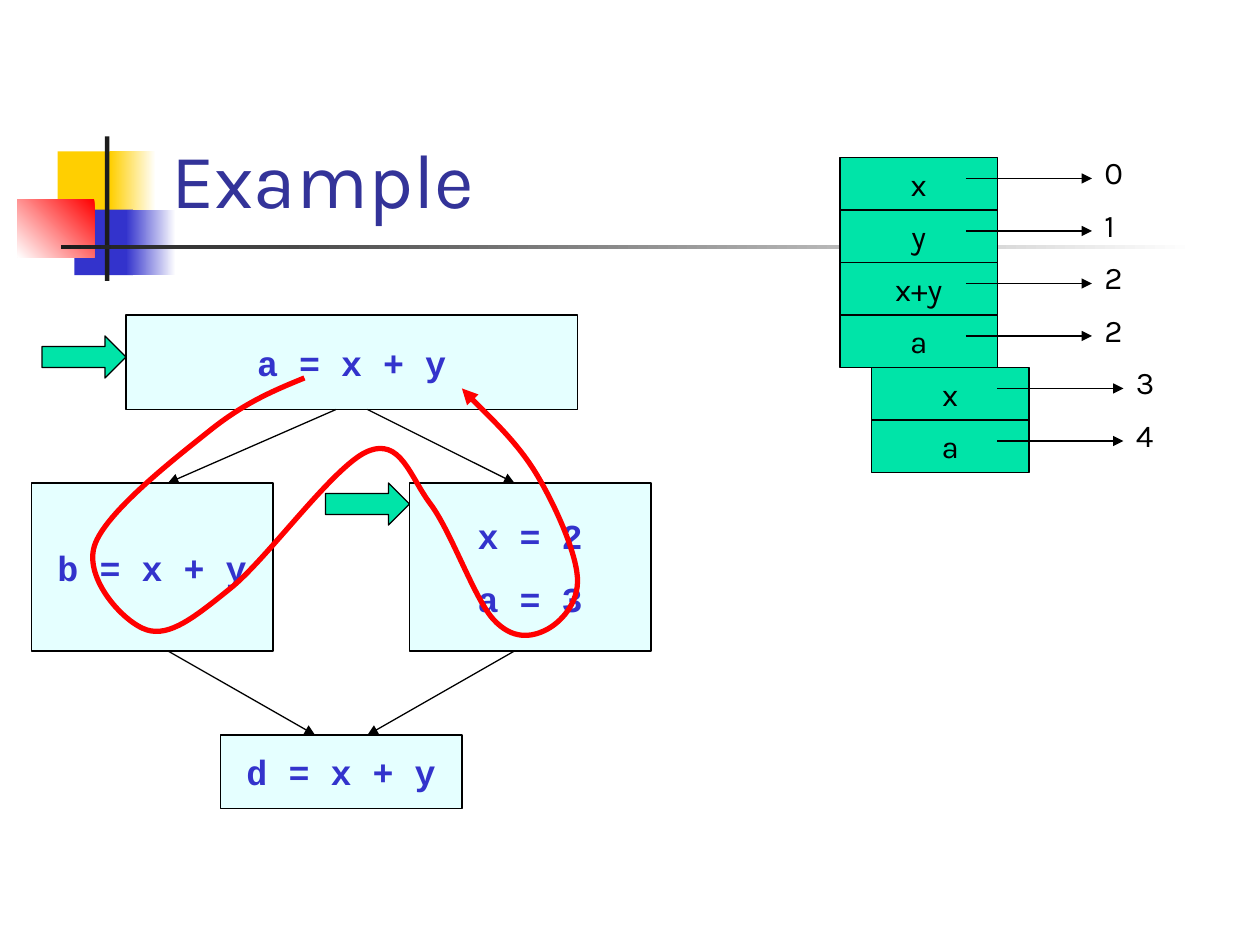
from dataclasses import dataclass
from itertools import islice
from lxml.etree import SubElement
from pptx import Presentation
from pptx.dml.color import RGBColor
from pptx.enum.shapes import MSO_CONNECTOR, MSO_SHAPE
from pptx.enum.text import MSO_ANCHOR, MSO_AUTO_SIZE, PP_ALIGN
from pptx.oxml.ns import qn
from pptx.util import Pt

COLORS = {
    "white": "FFFFFF", "black": "000000", "ink": "1C1C1C", "yellow": "FFCF01",
    "blue": "3333CC", "title": "333399", "red": "FF0000", "block": "CCFFFF",
    "green": "00E4A8",
}


@dataclass(frozen=True)
class Frame:
    left: float
    top: float
    width: float
    height: float

    def lengths(self) -> tuple:
        return Pt(self.left), Pt(self.top), Pt(self.width), Pt(self.height)


@dataclass(frozen=True)
class TextStyle:
    font: str
    size: float
    color: str
    bold: bool = False
    space_before: float = 0
    alignment: PP_ALIGN = PP_ALIGN.CENTER


@dataclass(frozen=True)
class Decoration:
    frame: Frame
    colors: tuple[str, ...]
    angle: float = 180


@dataclass(frozen=True)
class Block:
    frame: Frame
    lines: tuple[str, ...]


@dataclass(frozen=True)
class StackEntry:
    name: str
    value: str
    indent: float = 0


CODE = TextStyle("Courier New", 20, "blue", True, 12.5)
CELL = TextStyle("Karla", 18, "black")
VALUE = TextStyle("Karla", 18, "black", False, 11.2, PP_ALIGN.LEFT)
TITLE = TextStyle("Karla", 44, "title", alignment=PP_ALIGN.LEFT)

DECORATIONS = [
    Decoration(Frame(33, 86.5, 34.5, 37.5), ("yellow",)),
    Decoration(Frame(63, 86.5, 26, 37.5), ("white", "yellow")),
    Decoration(Frame(42.5, 119.75, 33.5, 37.5), ("blue",)),
    Decoration(Frame(72, 119.75, 28.5, 37.5), ("white", "blue")),
    Decoration(Frame(10, 113.75, 44, 33.25), ("red", "white"), 225),
    Decoration(Frame(60, 78, 2.5, 82.5), ("ink",)),
    Decoration(Frame(34.75, 140, 648, 2.5), ("white", "ink")),
]
BLOCKS = [
    Block(Frame(72, 180, 258, 54), ("a = x + y",)),
    Block(Frame(18, 276, 138, 96), ("b = x + y",)),
    Block(Frame(234, 276, 138, 96), ("x = 2", "a = 3")),
    Block(Frame(126, 420, 138, 42), ("d = x + y",)),
]
FLOW_EDGES = [
    (192, 234, 96, 276), (210, 234, 294, 276),
    (96, 372, 180, 420), (294, 372, 210, 420),
]
POINTERS = [Frame(24, 192, 48, 24), Frame(186, 276, 48, 24)]
STACK = [
    StackEntry("x", "0"), StackEntry("y", "1"), StackEntry("x+y", "2"),
    StackEntry("a", "2"), StackEntry("x", "3", 18), StackEntry("a", "4", 18),
]
STACK_LEFT, STACK_TOP, CELL_WIDTH, CELL_HEIGHT = 480, 90, 90, 30
TRACE = [
    (174, 216),
    (157, 223), (140, 230), (120, 246), (100, 262), (60, 293), (54, 312),
    (48, 331), (71, 356), (84, 360), (97, 364), (111, 353), (132, 336),
    (153, 319), (191, 266), (210, 258), (229, 250), (234, 272), (246, 288),
    (258, 304), (271, 342), (282, 354), (293, 366), (304, 364), (312, 360),
    (320, 356), (331, 345), (330, 330), (329, 315), (317, 288), (306, 270),
    (295, 252), (271, 230), (264, 222),
]


def color(name: str) -> RGBColor:
    return RGBColor.from_string(COLORS[name])


def set_line(shape, name: str, width: float, arrow: bool = False) -> None:
    shape.line.color.rgb = color(name)
    shape.line.width = Pt(width)
    if arrow:
        SubElement(shape.line._get_or_add_ln(), qn("a:tailEnd"), type="triangle")


def write(shape, lines: tuple[str, ...], style: TextStyle,
          anchor: MSO_ANCHOR, wrap: bool) -> None:
    text_frame = shape.text_frame
    text_frame.word_wrap = wrap
    text_frame.vertical_anchor = anchor
    text_frame.text = "\n".join(lines)
    for paragraph in text_frame.paragraphs:
        paragraph.alignment = style.alignment
        paragraph.space_before = Pt(style.space_before)
        paragraph.font.name = style.font
        paragraph.font.size = Pt(style.size)
        paragraph.font.bold = style.bold
        paragraph.font.color.rgb = color(style.color)


def add_filled(slide, frame: Frame, fill: str, kind=MSO_SHAPE.RECTANGLE):
    shape = slide.shapes.add_shape(kind, *frame.lengths())
    shape.shadow.inherit = False
    shape.fill.solid()
    shape.fill.fore_color.rgb = color(fill)
    set_line(shape, "black", 0.75)
    return shape


def add_text(slide, frame: Frame, text: str, style: TextStyle, anchor: MSO_ANCHOR):
    box = slide.shapes.add_textbox(*frame.lengths())
    write(box, (text,), style, anchor, True)
    return box


def add_decoration(slide, decoration: Decoration) -> None:
    shape = add_filled(slide, decoration.frame, decoration.colors[0])
    shape.line.fill.background()
    if len(decoration.colors) > 1:
        shape.fill.gradient()
        shape.fill.gradient_angle = decoration.angle
        for stop, name in zip(shape.fill.gradient_stops, decoration.colors):
            stop.color.rgb = color(name)


def add_block(slide, block: Block) -> None:
    shape = add_filled(slide, block.frame, "block")
    fill_color = shape._element.spPr.find(qn("a:solidFill")).find(qn("a:srgbClr"))
    SubElement(fill_color, qn("a:alpha"), val="50000")
    write(shape, block.lines, CODE, MSO_ANCHOR.MIDDLE, False)


def add_arrow(slide, *ends: float) -> None:
    connector = slide.shapes.add_connector(MSO_CONNECTOR.STRAIGHT, *map(Pt, ends))
    set_line(connector, "black", 0.75, arrow=True)
    SubElement(connector._element.spPr, qn("a:effectLst"))


def add_trace(slide, points: list[tuple[int, int]]) -> None:
    builder = slide.shapes.build_freeform(*points[0], scale=Pt(1))
    builder.add_line_segments(points[1:], close=False)
    shape = builder.convert_to_shape()
    shape.shadow.inherit = False
    shape.fill.background()
    set_line(shape, "red", 3, arrow=True)
    outline = next(shape._element.iter(qn("a:path")))
    segments = iter(outline.findall(qn("a:lnTo")))
    while group := list(islice(segments, 3)):
        curve = SubElement(outline, qn("a:cubicBezTo"))
        for segment in group:
            curve.append(segment[0])
            outline.remove(segment)


def add_stack_entry(slide, entry: StackEntry, row: int) -> None:
    left = STACK_LEFT + entry.indent
    top = STACK_TOP + row * CELL_HEIGHT
    cell = add_filled(slide, Frame(left, top, CELL_WIDTH, CELL_HEIGHT), "green")
    write(cell, (entry.name,), CELL, MSO_ANCHOR.MIDDLE, False)
    add_arrow(slide, left + 72, top + 12, left + 144, top + 12)
    value = add_text(slide, Frame(left + 144, top - 6, 60, 28.8),
                     entry.value, VALUE, MSO_ANCHOR.TOP)
    value.text_frame.auto_size = MSO_AUTO_SIZE.SHAPE_TO_FIT_TEXT


def main() -> None:
    presentation = Presentation()
    presentation.slide_width, presentation.slide_height = Pt(720), Pt(540)
    slide = presentation.slides.add_slide(presentation.slide_layouts[6])
    for decoration in DECORATIONS:
        add_decoration(slide, decoration)
    add_text(slide, Frame(90.75, 16.5, 613.5, 115), "Example", TITLE, MSO_ANCHOR.BOTTOM)
    for block in BLOCKS:
        add_block(slide, block)
    for edge in FLOW_EDGES:
        add_arrow(slide, *edge)
    add_trace(slide, TRACE)
    for frame in POINTERS:
        add_filled(slide, frame, "green", MSO_SHAPE.RIGHT_ARROW)
    for row, entry in enumerate(STACK):
        add_stack_entry(slide, entry, row)
    presentation.save("out.pptx")


if __name__ == "__main__":
    main()
